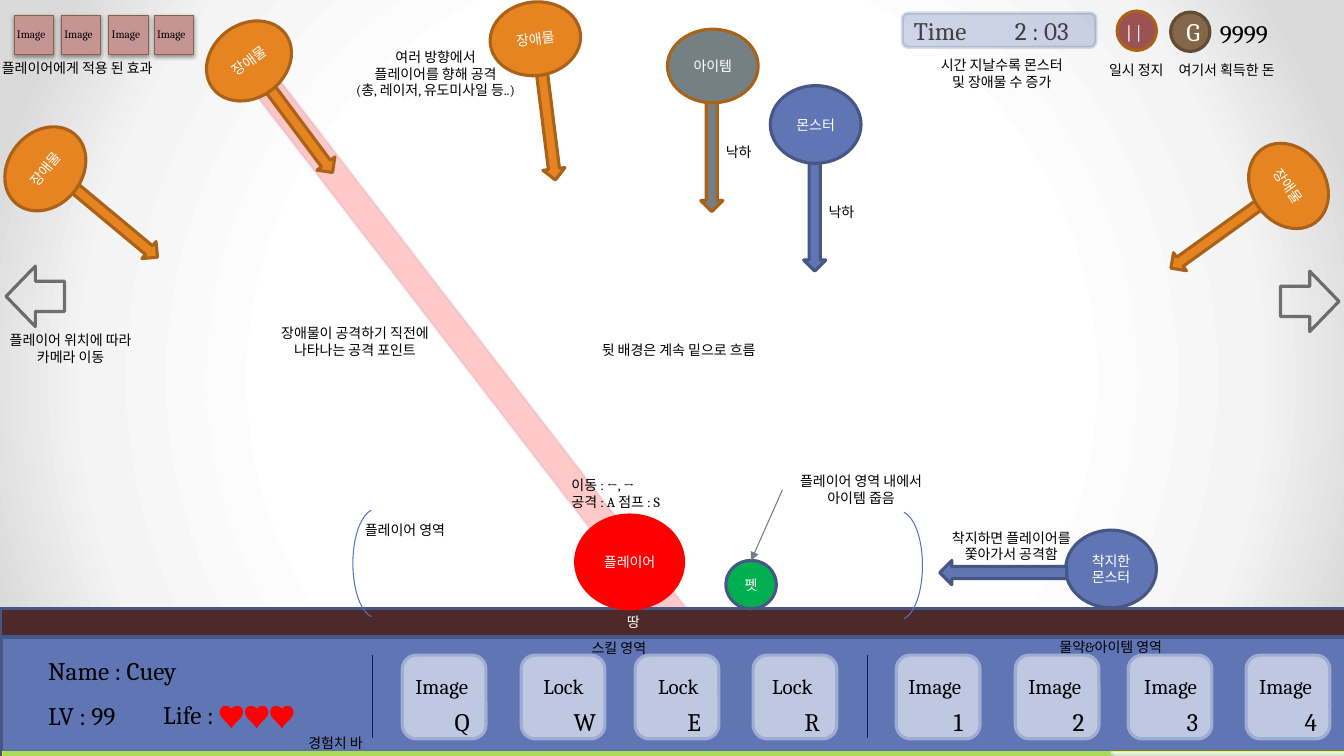
from dataclasses import dataclass
from lxml.etree import SubElement
from pptx import Presentation
from pptx.dml.color import RGBColor
from pptx.enum.shapes import MSO_CONNECTOR, MSO_SHAPE
from pptx.enum.text import MSO_AUTO_SIZE, PP_ALIGN
from pptx.oxml.ns import qn
from pptx.util import Inches, Pt


@dataclass(frozen=True)
class Theme:
    font: str = "Cambria"
    tiny: int = 8
    note: int = 10
    pause: int = 13
    label: int = 15
    big: int = 18
    black: str = "000000"
    white: str = "FFFFFF"
    gray: str = "404040"
    red: str = "FF0000"
    blue: str = "6076B4"
    navy: str = "475785"
    orange: str = "E68422"
    rust: str = "AA6219"
    slate: str = "758085"
    green: str = "00B050"
    earth: str = "4E2929"
    slot: str = "BFC8E1"
    slot_edge: str = "A0ADD2"
    coin: str = "846648"
    coin_edge: str = "624B35"
    maroon: str = "9C5252"
    pink: str = "C79494"
    pink_edge: str = "836445"
    lime: str = "ABD958"
    yellow: str = "FFFF00"
    bracket: str = "5C72B2"
    divider: str = "002060"
    pointer: str = "727D82"


THEME = Theme()
CENTER, LEFT = PP_ALIGN.CENTER, PP_ALIGN.LEFT


def add_span(para, text, size, color):
    span = para.add_run()
    span.text = text
    span.font.size = Pt(size)
    span.font.name = THEME.font
    span.font.color.rgb = RGBColor.from_string(color)


def write_text(frame, text, size=THEME.note, color=THEME.black, align=LEFT):
    for index, line in enumerate(text.split("\n")):
        para = frame.add_paragraph() if index else frame.paragraphs[0]
        para.alignment = align
        add_span(para, line, size, color)


def add_text(page, text, at, wrap=False, **style):
    box = page.shapes.add_textbox(*map(Inches, at))
    box.text_frame.word_wrap = wrap
    box.text_frame.auto_size = MSO_AUTO_SIZE.SHAPE_TO_FIT_TEXT
    write_text(box.text_frame, text, **style)
    return box


def set_alpha(parent, percent):
    color = parent.xpath("./a:solidFill/a:srgbClr")[0]
    SubElement(color, qn("a:alpha"), val=str(percent * 1000))


def set_gradient(parent, stops):
    """Swap the stops of the first gradient; return the element for its direction."""
    gradient = parent.xpath(".//a:gradFill")[0]
    for child in list(gradient):
        gradient.remove(child)
    stop_list = SubElement(gradient, qn("a:gsLst"))
    for position, color in stops:
        stop = SubElement(stop_list, qn("a:gs"), pos=str(position * 1000))
        SubElement(stop, qn("a:srgbClr"), val=color)
    return gradient


def add_shadow(shape):
    effects = shape.element.spPr.find(qn("a:effectLst"))
    shadow = SubElement(effects, qn("a:outerShdw"), blurRad=str(Pt(3.1)),
                        dist=str(Pt(1.6)), dir="5400000", rotWithShape="0")
    color = SubElement(shadow, qn("a:srgbClr"), val=THEME.black)
    SubElement(color, qn("a:alpha"), val="38000")


def add_figure(page, kind, at, fill=None, line=THEME.navy, weight=2.25, turn=0, text=None,
               fill_alpha=None, line_alpha=None, adjust=(), shadow=False, **style):
    shape = page.shapes.add_shape(kind, *map(Inches, at))
    shape.shadow.inherit = False
    shape.rotation = turn
    if fill:
        shape.fill.solid()
        shape.fill.fore_color.rgb = RGBColor.from_string(fill)
    else:
        shape.fill.background()
    shape.line.color.rgb = RGBColor.from_string(line)
    shape.line.width = Pt(weight)
    if fill_alpha:
        set_alpha(shape.element.spPr, fill_alpha)
    if line_alpha:
        set_alpha(shape.element.spPr.find(qn("a:ln")), line_alpha)
    for index, value in enumerate(adjust):
        shape.adjustments[index] = value
    if shadow:
        add_shadow(shape)
    if text:
        write_text(shape.text_frame, text, **{"color": THEME.white, "align": CENTER, **style})
    return shape


def add_line(page, start, end, color, arrow=False):
    line = page.shapes.add_connector(MSO_CONNECTOR.STRAIGHT, *map(Inches, start + end))
    line.line.color.rgb = RGBColor.from_string(color)
    line.line.width = Pt(0.75)
    if arrow:
        SubElement(line.element.spPr.find(qn("a:ln")), qn("a:tailEnd"), type="triangle")
    SubElement(line.element.spPr, qn("a:effectLst"))


def add_attacker(page, name, body, arrow, fill, line, turn=0, height=0.73):
    add_figure(page, MSO_SHAPE.DOWN_ARROW, (*arrow, 0.22, 1.1), fill, line, turn=turn)
    add_figure(page, MSO_SHAPE.OVAL, (*body, 0.9, height), fill, line, turn=turn, text=name)


def add_slot(page, label, key, left, label_left, key_left):
    add_figure(page, MSO_SHAPE.ROUNDED_RECTANGLE, (left, 6.5, 0.83, 0.83),
               THEME.slot, THEME.slot_edge)
    add_text(page, label, (label_left, 6.63, 0.79, 0.35), size=THEME.label)
    add_text(page, key, (key_left, 6.96, 0.4, 0.4), size=THEME.big)


def add_background(page):
    page.background.fill.gradient()
    stops = [(50, "FFFFFF"), (76, "F4F4F4"), (92, "DADADA")]
    gradient = set_gradient(page.element, stops)
    direction = SubElement(gradient, qn("a:path"), path="circle")
    SubElement(direction, qn("a:fillToRect"), **dict.fromkeys("ltrb", "50000"))


def add_field(page):
    # Attack beam, ground and bottom panel
    add_figure(page, MSO_SHAPE.RECTANGLE, (4.55, 0.17, 0.28, 6.68), THEME.red,
               turn=322.4, fill_alpha=21, line_alpha=6)
    add_figure(page, MSO_SHAPE.RECTANGLE, (0, 6.04, 13.4, 1.46), THEME.earth)
    add_figure(page, MSO_SHAPE.RECTANGLE, (0.01, 6.32, 13.38, 1.19), THEME.blue)

    # Player, pet and landed monster
    for name, at, fill, line in (
            ("플레이어", (5.71, 5.11, 1.07, 0.93), THEME.red, THEME.red),
            ("펫", (7.2, 5.56, 0.5, 0.48), THEME.green, THEME.navy),
            ("착지한몬스터", (10.57, 5.26, 0.9, 0.77), THEME.blue, THEME.navy)):
        add_figure(page, MSO_SHAPE.OVAL, at, fill, line, text=name)
    add_figure(page, MSO_SHAPE.RIGHT_ARROW, (9.32, 5.56, 1.26, 0.24), THEME.blue, turn=180)
    add_line(page, (7.76, 4.86), (7.45, 5.56), THEME.pointer, arrow=True)

    # Brackets around the player area
    for left, top, turn in ((3.5, 5.05, 0), (8.69, 5.07, 180)):
        arc = add_figure(page, MSO_SHAPE.ARC, (left, top, 0.46, 1.08), line=THEME.bracket,
                         weight=0.75, turn=turn, adjust=(165.01, 50.97))
        arc.element.spPr.find(qn("a:xfrm")).set("flipH", "1")

    # Falling things and obstacles
    add_attacker(page, "몬스터", (7.64, 0.85), (7.97, 1.59), THEME.blue, THEME.navy, height=0.77)
    add_attacker(page, "아이템", (6.62, 0.29), (6.95, 1), THEME.slate, THEME.rust)
    for body, arrow, turn in (((4.86, 0.02), (5.33, 0.69), 352.9),
                              ((12.33, 1.48), (11.95, 1.79), 54.3),
                              ((2.02, 0.24), (2.86, 0.72), 323.3),
                              ((0, 1.31), (1.03, 1.65), 309.8)):
        add_attacker(page, "장애물", body, arrow, THEME.orange, THEME.rust, turn)

    # Camera arrows
    for left, top, turn in ((12.7, 2.69, 0), (0.06, 2.64, 180)):
        add_figure(page, MSO_SHAPE.RIGHT_ARROW, (left, top, 0.58, 0.6), line=THEME.black,
                   turn=turn, line_alpha=52)


def add_status(page):
    # Timer, pause and money
    add_figure(page, MSO_SHAPE.ROUNDED_RECTANGLE, (8.95, 0.13, 1.92, 0.34), THEME.blue,
               fill_alpha=30, line_alpha=20, text="Time\t2 : 03", size=THEME.big,
               color=THEME.gray, align=LEFT)
    add_figure(page, MSO_SHAPE.OVAL, (11.08, 0.11, 0.39, 0.39), THEME.maroon, THEME.rust)
    add_text(page, "| |", (11.07, 0.16, 0.35, 0.32), size=THEME.pause, color=THEME.white)
    add_figure(page, MSO_SHAPE.OVAL, (11.61, 0.12, 0.39, 0.39), THEME.coin, THEME.coin_edge,
               text="G", size=THEME.big)
    add_text(page, "9999", (12, 0.13, 0.76, 0.4), size=THEME.big)

    # Active effects
    for left in (0.14, 0.61, 1.08, 1.53):
        add_figure(page, MSO_SHAPE.ROUNDED_RECTANGLE, (left, 0.15, 0.39, 0.39), THEME.pink,
                   THEME.pink_edge, 0.75, adjust=(0,), shadow=True)
        add_text(page, "Image", (left - 0.07, 0.22, 0.51, 0.24), size=THEME.tiny)


def add_panel(page):
    # Player details
    add_text(page, "Name : Cuey", (0.38, 6.45, 1.68, 0.4), size=THEME.big)
    add_text(page, "LV : 99", (0.38, 6.9, 0.98, 0.4), size=THEME.big)
    life = add_text(page, "Life : ", (1.52, 6.89, 1.59, 0.4), size=THEME.big)
    add_span(life.text_frame.paragraphs[0], "♥" * 3, THEME.big, THEME.red)

    # Skill and item slots
    for left in (3.69, 8.6):
        add_line(page, (left, 6.5), (left, 7.32), THEME.divider)
    for slot in (("Image", "Q", 3.99, 4.02, 4.41), ("Lock", "W", 5.17, 5.29, 5.59),
                 ("Lock", "E", 6.3, 6.43, 6.72), ("Lock", "R", 7.47, 7.56, 7.88),
                 ("Image", "1", 8.89, 8.91, 9.36), ("Image", "2", 10.07, 10.1, 10.54),
                 ("Image", "3", 11.19, 11.25, 11.67), ("Image", "4", 12.36, 12.39, 12.84)):
        add_slot(page, *slot)

    # Experience bar
    track = add_figure(page, MSO_SHAPE.RECTANGLE, (0.03, 7.46, 13.34, 0.05), None,
                       THEME.yellow, 0.75, shadow=True)
    track.fill.gradient()
    stops = [(0, "C5E1AB"), (35, "D6E9C5"), (100, "EFF7E9")]
    gradient = set_gradient(track.element, stops)
    SubElement(gradient, qn("a:lin"), ang="16200000", scaled="1")
    add_figure(page, MSO_SHAPE.RECTANGLE, (0.03, 7.46, 10.98, 0.05), THEME.lime,
               THEME.lime, 0.75, shadow=True)


def add_notes_on_field(page):
    for text, *at in (
            ("낙하", 8.12, 1.97, 0.48, 0.27),
            ("낙하", 7.1, 1.37, 0.48, 0.27),
            ("플레이어 영역", 3.52, 5.12, 1.09, 0.27),
            ("이동 : ←, →\n공격 : A 점프 : S", 5.57, 4.68, 1.24, 0.44),
            ("물약&아이템 영역", 10.41, 6.29, 1.33, 0.27),
            ("스킬 영역", 5.77, 6.3, 0.8, 0.27),
            ("플레이어에게 적용 된 효과", -0.08, 0.54, 1.85, 0.27),
            ("여기서 획득한 돈", 11.59, 0.56, 1.25, 0.27),
            ("경험치 바", 2.96, 7.24, 0.8, 0.27),
            ("뒷 배경은 계속 밑으로 흐름", 5.87, 3.34, 1.88, 0.27)):
        add_text(page, text, at)
    for text, *at in (
            ("착지하면 플레이어를\n쫓아가서 공격함", 9.28, 5.2, 1.5, 0.44),
            ("플레이어 영역 내에서\n아이템 줍음", 7.76, 4.64, 1.56, 0.44),
            ("장애물이 공격하기 직전에\n나타나는 공격 포인트", 2.6, 3.17, 1.84, 0.44),
            ("일시 정지", 10.87, 0.56, 0.8, 0.27),
            ("플레이어 위치에 따라\n카메라 이동", -0.08, 3.24, 1.56, 0.44),
            ("시간 지날수록 몬스터\n및 장애물 수 증가", 9.17, 0.51, 1.53, 0.44)):
        add_text(page, text, at, align=CENTER)
    add_text(page, "여러 방향에서\n플레이어를 향해 공격\n(총, 레이저, 유도미사일 등..)",
             (3.34, 0.43, 1.96, 0.61), wrap=True, align=CENTER)
    add_text(page, "땅", (6.12, 6.04, 0.34, 0.27), color=THEME.white)


def main():
    deck = Presentation()
    deck.slide_width, deck.slide_height = Inches(13.33), Inches(7.5)
    page = deck.slides.add_slide(deck.slide_layouts[6])
    for add_part in (add_background, add_field, add_status, add_panel, add_notes_on_field):
        add_part(page)
    deck.save("out.pptx")


main()
